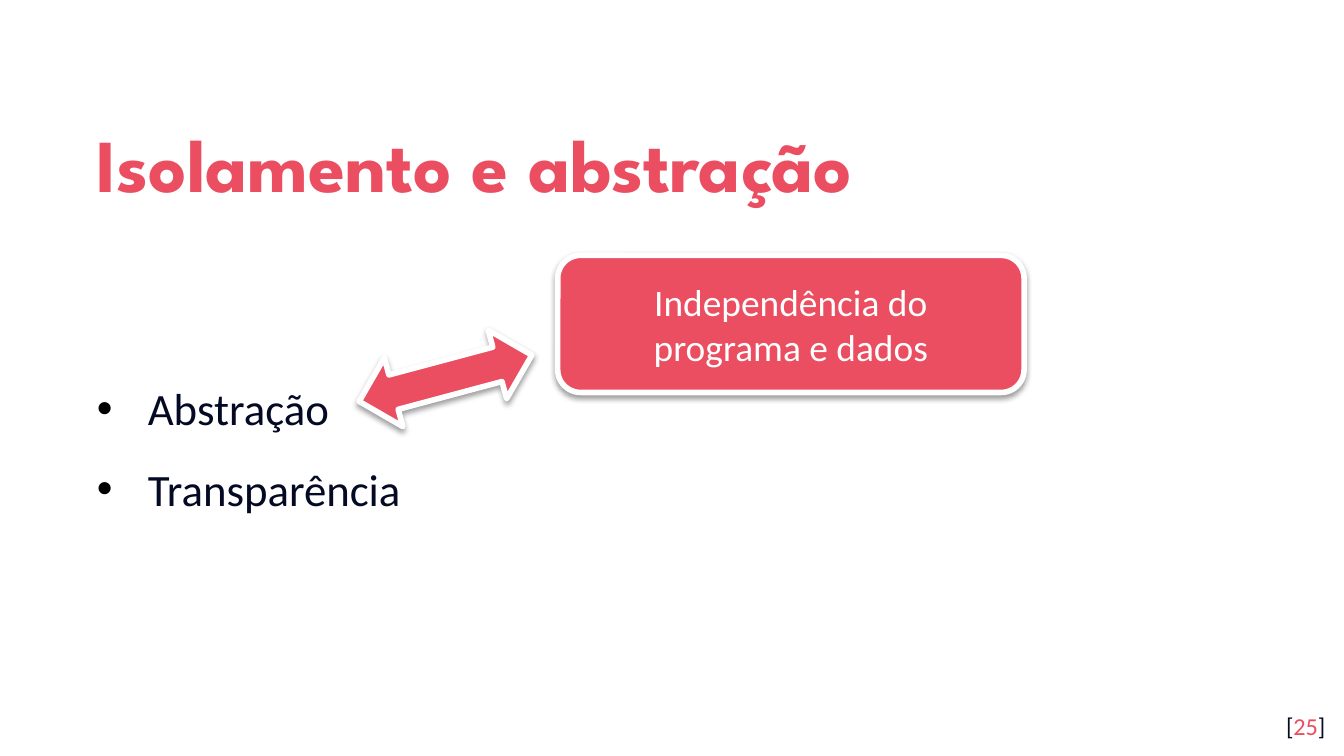
import dataclasses

import lxml.etree
import pptx
import pptx.dml.color
import pptx.enum.shapes
import pptx.enum.text
import pptx.oxml.ns
import pptx.util

Align = pptx.enum.text.PP_ALIGN
Anchor = pptx.enum.text.MSO_ANCHOR
Shape = pptx.enum.shapes.MSO_SHAPE
qn = pptx.oxml.ns.qn
WIDTH = 10
HEIGHT = WIDTH * 9 / 16
COLS, ROWS = WIDTH * 10, HEIGHT * 10  # grid cells of a tenth of an inch


@dataclasses.dataclass(frozen=True)
class Theme:
    accent: str = "EA4E60"
    ink: str = "040A24"
    white: str = "FFFFFF"
    black: str = "000000"
    head: str = "League Spartan"
    text: str = "Calibri"
    title: int = 40
    body: int = 24
    label: int = 20
    page: int = 13
    edge: int = 3


def rgb(code):
    return pptx.dml.color.RGBColor.from_string(code)


def add(parent, tag, **attrs):
    return lxml.etree.SubElement(parent, qn(tag), attrs)


class Deck:
    def __init__(self, theme):
        self.theme = theme
        self.show = pptx.Presentation()
        self.show.slide_width = pptx.util.Inches(WIDTH)
        self.show.slide_height = pptx.util.Inches(HEIGHT)
        self.slide = self.show.slides.add_slide(self.show.slide_layouts[1])

    def area(self, col, row, wide, high):
        """Turn grid cells into left, top, width and height."""
        x = self.show.slide_width / COLS
        y = self.show.slide_height / ROWS
        return [round(n) for n in (col * x, row * y, wide * x, high * y)]

    def place(self, shape, *cells):
        shape.left, shape.top, shape.width, shape.height = self.area(*cells)

    def frame(self, shape, anchor):
        box = shape.text_frame
        box.word_wrap = True
        box.auto_size = pptx.enum.text.MSO_AUTO_SIZE.NONE
        box.vertical_anchor = anchor
        box.margin_left = box.margin_right = pptx.util.Inches(0.1)
        box.margin_top = box.margin_bottom = pptx.util.Inches(0.1)
        return box

    def style(self, para, size, color, align, face=None, bold=False):
        para.alignment = align
        font = para.font
        font.name = face or self.theme.text
        font.size = pptx.util.Pt(size)
        font.bold = bold
        font.color.rgb = rgb(color)

    def title(self, text, *cells):
        shape = self.slide.shapes.title
        self.place(shape, *cells)
        para = self.frame(shape, Anchor.MIDDLE).paragraphs[0]
        para.text = text
        para.line_spacing = 1.15
        self.style(para, self.theme.title, self.theme.accent, Align.LEFT,
                   self.theme.head, True)

    def bullet(self, para):
        props = para._p.get_or_add_pPr()
        indent = pptx.util.Inches(0.38)
        props.set("marL", str(indent))
        props.set("indent", str(-indent))
        color = add(props, "a:buClr")
        add(color, "a:srgbClr", val=self.theme.black)
        add(props, "a:buFont", typeface="Arial")
        add(props, "a:buChar", char="•")

    def items(self, texts, *cells):
        shape = self.slide.placeholders[1]
        self.place(shape, *cells)
        box = self.frame(shape, Anchor.MIDDLE)
        box.text = "\n".join(texts)
        for para in box.paragraphs:
            para.line_spacing = 1.15
            para.space_before = pptx.util.Pt(10)
            self.bullet(para)
            self.style(para, self.theme.body, self.theme.ink, Align.JUSTIFY)

    def page(self, number, *cells):
        shape = self.slide.shapes.add_textbox(*self.area(*cells))
        para = self.frame(shape, Anchor.TOP).paragraphs[0]
        self.style(para, self.theme.page, self.theme.ink, Align.RIGHT)
        for text in ("[", str(number), "]"):
            run = para.add_run()
            run.text = text
            if text.isdigit():
                run.font.color.rgb = rgb(self.theme.accent)

    def shade(self, shape):
        """Give the shape a soft shadow straight below it."""
        shape.shadow.inherit = False
        effects = shape._element.spPr.find(qn("a:effectLst"))
        outer = add(effects, "a:outerShdw", blurRad="40000", dist="20000",
                    dir="5400000", rotWithShape="0")
        color = add(outer, "a:srgbClr", val=self.theme.black)
        add(color, "a:alpha", val="38000")

    def block(self, kind, *cells, text="", turn=0):
        shape = self.slide.shapes.add_shape(kind, *self.area(*cells))
        shape.rotation = turn
        shape.fill.solid()
        shape.fill.fore_color.rgb = rgb(self.theme.accent)
        shape.line.color.rgb = rgb(self.theme.white)
        shape.line.width = pptx.util.Pt(self.theme.edge)
        self.shade(shape)
        if text:
            para = self.frame(shape, Anchor.MIDDLE).paragraphs[0]
            para.text = text
            self.style(para, self.theme.label, self.theme.white, Align.CENTER)


def main():
    deck = Deck(Theme())
    deck.title("Isolamento e abstração", 6.2, 7, 87.7, 9.2)
    deck.page(25, 93.6, 51.9, 6, 4.3)
    deck.items(["Abstração", "Transparência"], 6.2, 16.2, 63.6, 33.7)
    deck.block(Shape.ROUNDED_RECTANGLE, 41.5, 19, 34.7, 10.2,
               text="Independência do programa e dados")
    deck.block(Shape.LEFT_RIGHT_ARROW, 26.5, 25.5, 13.3, 5.3, turn=345)
    deck.show.save("out.pptx")


if __name__ == "__main__":
    main()
